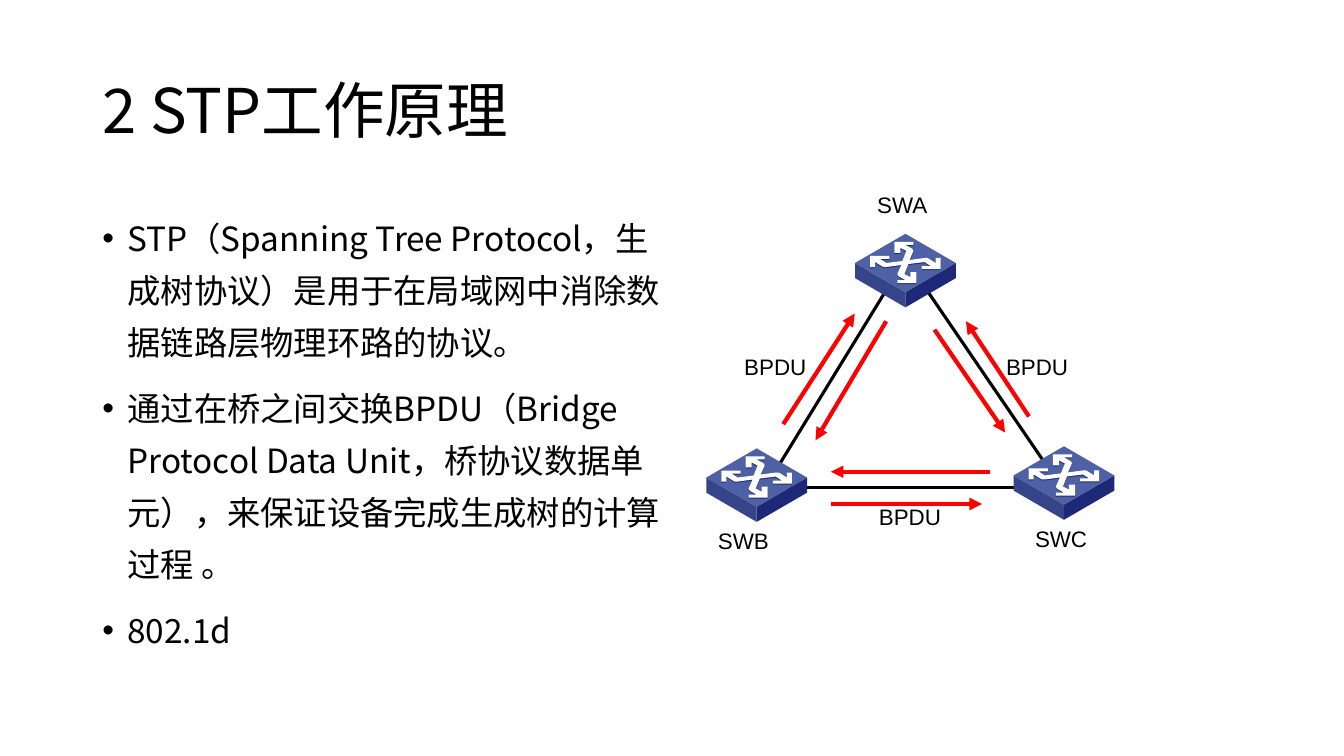
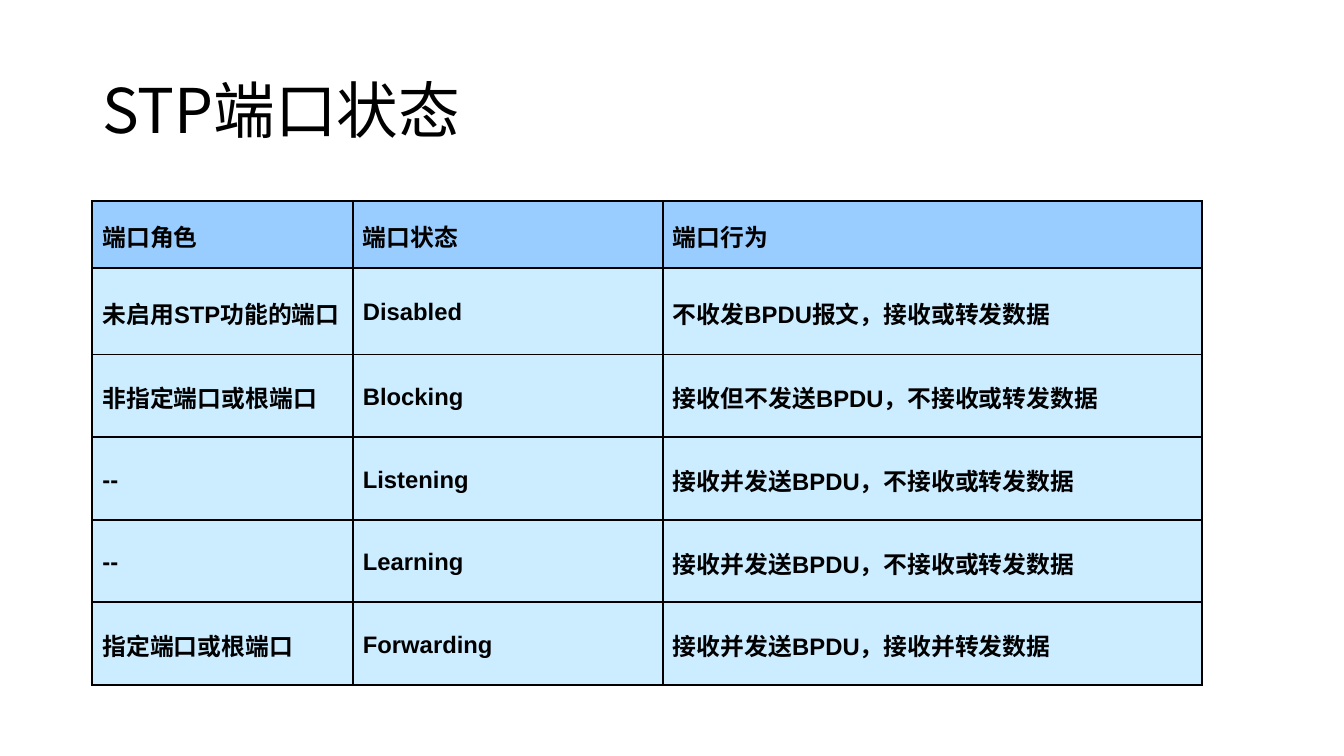
"""Build two slides on how STP works and on its port states."""
import lxml.etree
import pptx
import pptx.dml.color
import pptx.enum.shapes
import pptx.enum.text
import pptx.oxml.ns
import pptx.util

Pt = pptx.util.Pt
qn = pptx.oxml.ns.qn
SubElement = lxml.etree.SubElement
MIDDLE = pptx.enum.text.MSO_ANCHOR.MIDDLE
CENTER = pptx.enum.text.PP_ALIGN.CENTER
STRAIGHT = pptx.enum.shapes.MSO_CONNECTOR.STRAIGHT
CJK, LATIN = "Noto Sans CJK SC", "Arial"
BLACK, RED, WHITE = "000000", "FF0000", "FFFFFF"
NAVY, INDIGO, BLUE = "1D2977", "36458A", "4D61A4"
HEADER, CELL = "99CCFF", "CCECFF"


def rgb(code):
    return pptx.dml.color.RGBColor.from_string(code)


def add_run(p, text, size, font, bold=False):
    r = p.add_run()
    r.text = text
    r.font.size = Pt(size)
    r.font.bold = bold
    r.font.color.rgb = rgb(BLACK)
    r.font.name = font
    SubElement(r.font._element, qn("a:ea"), typeface=CJK)


prs = pptx.Presentation()
prs.slide_width, prs.slide_height = Pt(960), Pt(540)

slides = []
for title in ("2 STP工作原理", "STP端口状态"):
    s = prs.slides.add_slide(prs.slide_layouts[6])
    tf = s.shapes.add_textbox(Pt(66), Pt(29), Pt(828), Pt(104)).text_frame
    tf.word_wrap = True
    tf.vertical_anchor = MIDDLE
    p = tf.paragraphs[0]
    p.line_spacing = 0.9
    add_run(p, title, 44, CJK)
    slides.append(s)

s = slides[0]
points = [
    "STP（Spanning Tree Protocol，生成树协议）是用于在局域网中消除数据链路层物理环路的协议。",
    "通过在桥之间交换BPDU（Bridge Protocol Data Unit，桥协议数据单元），来保证设备完成生成树的计算过程 。",
    "802.1d",
]
tf = s.shapes.add_textbox(Pt(66), Pt(144), Pt(420), Pt(343)).text_frame
tf.word_wrap = True
for i, text in enumerate(points):
    p = tf.add_paragraph() if i else tf.paragraphs[0]
    p.line_spacing = 1.3
    p.space_before = Pt(10)
    pPr = p._p.get_or_add_pPr()
    pPr.set("marL", str(Pt(18)))
    pPr.set("indent", str(Pt(-18)))
    SubElement(pPr, qn("a:buFont"), typeface=LATIN)
    SubElement(pPr, qn("a:buChar"), char="•")
    add_run(p, text, 23.8, CJK)

links = [(553.5, 337, 633.5, 206.5), (559.5, 348.5, 735, 348.5), (661.5, 206.5, 746.5, 331)]
arrows = [
    (593.5, 360, 701.5, 360),
    (707, 337, 593.5, 337),
    (559.5, 303, 610.5, 224),
    (633, 229.5, 582.5, 314.5),
    (667.5, 235.5, 718, 309),
    (735, 297.5, 690, 229.5),
]
for group, code, width in ((links, BLACK, 2.25), (arrows, RED, 3)):
    for ends in group:
        c = s.shapes.add_connector(STRAIGHT, *[Pt(v) for v in ends])
        c.line.color.rgb = rgb(code)
        c.line.width = Pt(width)
        if group is arrows:
            SubElement(c.line._get_or_add_ln(), qn("a:tailEnd"), type="triangle")
        SubElement(c._element.spPr, qn("a:effectLst"))

half = [
    (85, 24), (80, 24), (80, 29), (72, 24), (69, 24), (54, 26), (58, 17), (57, 15),
    (50, 11), (58, 11), (58, 8), (39, 8), (39, 19), (45, 19), (45, 14), (51, 17),
    (47, 27), (31, 29), (25, 25), (34, 25), (34, 22), (15, 22),
]
glyph = half + [(100 - x, 57 - y) for x, y in half]
faces = [
    (NAVY, [(100, 29), (100, 44), (50, 73), (50, 58)]),
    (INDIGO, [(50, 58), (50, 73), (0, 44), (0, 29)]),
    (BLUE, [(100, 29), (50, 58), (0, 29), (50, 0)]),
    (NAVY, [(x, y + 1) for x, y in glyph]),
    (WHITE, glyph),
]
for left, top in ((504.5, 320.25), (724, 318.75), (610.75, 167)):
    switch = s.shapes.add_group_shape()
    for code, outline in faces:
        fb = switch.shapes.build_freeform(*outline[0], scale=Pt(0.72))
        fb.add_line_segments(outline[1:], close=True)
        sp = fb.convert_to_shape(Pt(left), Pt(top))
        sp.shadow.inherit = False
        sp.fill.solid()
        sp.fill.fore_color.rgb = rgb(code)
        sp.line.fill.background()

labels = [
    ("SWA", 593.5, 133, 102),
    ("SWB", 480, 373, 102),
    ("SWC", 707, 371.5, 102),
    ("BPDU", 519.75, 248.5, 68),
    ("BPDU", 616, 356, 68),
    ("BPDU", 706.75, 248.5, 68),
]
for text, left, top, width in labels:
    tf = s.shapes.add_textbox(Pt(left), Pt(top), Pt(width), Pt(26.5)).text_frame
    tf.word_wrap = True
    p = tf.paragraphs[0]
    p.alignment = CENTER
    add_run(p, text, 16, LATIN)

s = slides[1]
rows = [
    ("端口角色", "端口状态", "端口行为"),
    ("未启用STP功能的端口", "Disabled", "不收发BPDU报文，接收或转发数据"),
    ("非指定端口或根端口", "Blocking", "接收但不发送BPDU，不接收或转发数据"),
    ("--", "Listening", "接收并发送BPDU，不接收或转发数据"),
    ("--", "Learning", "接收并发送BPDU，不接收或转发数据"),
    ("指定端口或根端口", "Forwarding", "接收并发送BPDU，接收并转发数据"),
]
widths = (186, 221.5, 385)
heights = (47.5, 62, 59, 59, 59, 59)
table = s.shapes.add_table(
    len(rows), len(widths), Pt(66), Pt(143.75), Pt(sum(widths)), Pt(sum(heights))
).table
for column, width in zip(table.columns, widths):
    column.width = Pt(width)
for i, row in enumerate(rows):
    table.rows[i].height = Pt(heights[i])
    for j, text in enumerate(row):
        cell = table.cell(i, j)
        cell.vertical_anchor = MIDDLE
        tcPr = cell._tc.get_or_add_tcPr()
        for side in ("a:lnL", "a:lnR", "a:lnT", "a:lnB"):
            ln = SubElement(tcPr, qn(side), w=str(Pt(1.5)))
            SubElement(SubElement(ln, qn("a:solidFill")), qn("a:srgbClr"), val=BLACK)
        cell.fill.solid()
        cell.fill.fore_color.rgb = rgb(CELL if i else HEADER)
        p = cell.text_frame.paragraphs[0]
        p.line_spacing = 1.1
        add_run(p, text, 17, LATIN, bold=True)

prs.save("out.pptx")
